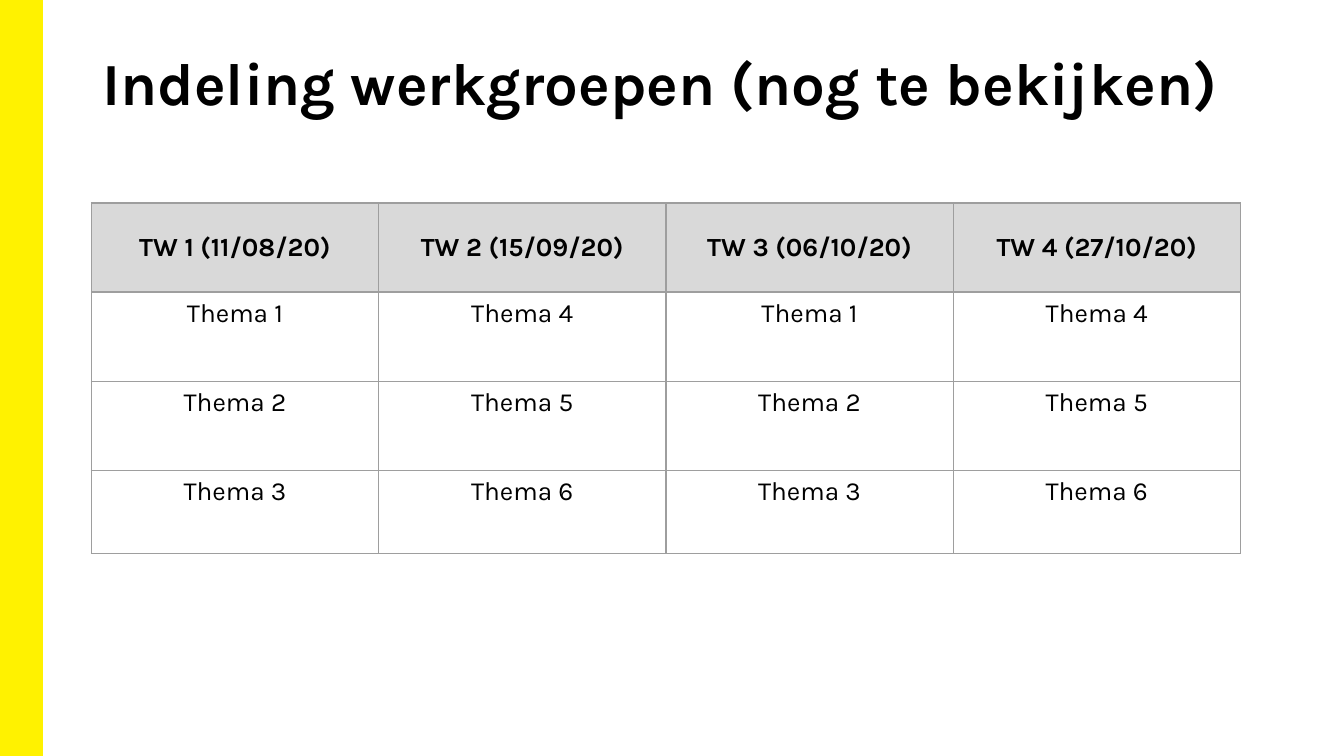
from lxml.etree import SubElement
from pptx import Presentation
from pptx.dml.color import RGBColor
from pptx.enum.shapes import MSO_SHAPE
from pptx.enum.text import MSO_ANCHOR, PP_ALIGN
from pptx.oxml.ns import qn
from pptx.util import Inches, Pt

YELLOW = RGBColor(0xFF, 0xF2, 0x00)
BLACK = RGBColor(0x00, 0x00, 0x00)
WHITE = RGBColor(0xFF, 0xFF, 0xFF)
HEADER_GREY = RGBColor(0xD9, 0xD9, 0xD9)
BORDER_GREY = RGBColor(0x9E, 0x9E, 0x9E)

PAGE_WIDTH = 10
PAGE_HEIGHT = PAGE_WIDTH * 9 / 16

HEADERS = ["TW 1 (11/08/20)", "TW 2 (15/09/20)", "TW 3 (06/10/20)", "TW 4 (27/10/20)"]
THEMES = [[f"Thema {row + offset}" for offset in (0, 3, 0, 3)] for row in (1, 2, 3)]
TABLE_HEIGHT = 2.61
LAST_ROW_HEIGHT = 0.62
ROW_HEIGHTS = [(TABLE_HEIGHT - LAST_ROW_HEIGHT) / 3] * 3 + [LAST_ROW_HEIGHT]


class SlideBuilder:
    font_name = "Karla"

    def __init__(self, page):
        self.page = page

    def format_text(self, para, size, bold=False, align=PP_ALIGN.LEFT):
        para.alignment = align
        for span in para.runs:
            span.font.name = self.font_name
            span.font.size = Pt(size)
            span.font.bold = bold
            span.font.color.rgb = BLACK

    def add_bar(self, left, top, width, height):
        bar = self.page.shapes.add_shape(
            MSO_SHAPE.RECTANGLE, Inches(left), Inches(top), Inches(width), Inches(height))
        bar.shadow.inherit = False
        bar.fill.solid()
        bar.fill.fore_color.rgb = YELLOW
        bar.line.color.rgb = YELLOW
        bar.line.width = Pt(1)

    def add_title(self, text, left, top, width, height):
        box = self.page.shapes.add_textbox(
            Inches(left), Inches(top), Inches(width), Inches(height))
        frame = box.text_frame
        frame.word_wrap = True
        frame.margin_left = frame.margin_right = Inches(0.07)
        frame.margin_top = frame.margin_bottom = Inches(0.04)
        frame.text = text
        self.format_text(frame.paragraphs[0], 32, bold=True)

    def add_borders(self, cell):
        properties = cell._tc.get_or_add_tcPr()
        for index, side in enumerate(("a:lnL", "a:lnR", "a:lnT", "a:lnB")):
            line = SubElement(properties, qn(side), w=str(Pt(0.75)))
            fill = SubElement(line, qn("a:solidFill"))
            SubElement(fill, qn("a:srgbClr"), val=str(BORDER_GREY))
            properties.insert(index, line)

    def add_table(self, rows, row_heights, left, top, width):
        table = self.page.shapes.add_table(
            len(rows), len(rows[0]), Inches(left), Inches(top),
            Inches(width), Inches(sum(row_heights))).table
        table.horz_banding = False
        for row_index, texts in enumerate(rows):
            table.rows[row_index].height = Inches(row_heights[row_index])
            is_header = row_index == 0
            for column_index, text in enumerate(texts):
                cell = table.cell(row_index, column_index)
                cell.text_frame.text = text
                cell.vertical_anchor = MSO_ANCHOR.MIDDLE if is_header else MSO_ANCHOR.TOP
                cell.fill.solid()
                cell.fill.fore_color.rgb = HEADER_GREY if is_header else WHITE
                self.add_borders(cell)
                self.format_text(
                    cell.text_frame.paragraphs[0], 14, is_header, PP_ALIGN.CENTER)


def main():
    deck = Presentation()
    deck.slide_width = Inches(PAGE_WIDTH)
    deck.slide_height = Inches(PAGE_HEIGHT)
    builder = SlideBuilder(deck.slides.add_slide(deck.slide_layouts[6]))
    builder.add_bar(0, 0, 0.31, PAGE_HEIGHT)
    builder.add_table([HEADERS] + THEMES, ROW_HEIGHTS, 0.68, 1.51, 8.55)
    builder.add_title("Indeling werkgroepen (nog te bekijken)", 0.69, 0.3, 8.62, 0.81)
    deck.save("out.pptx")


if __name__ == "__main__":
    main()
